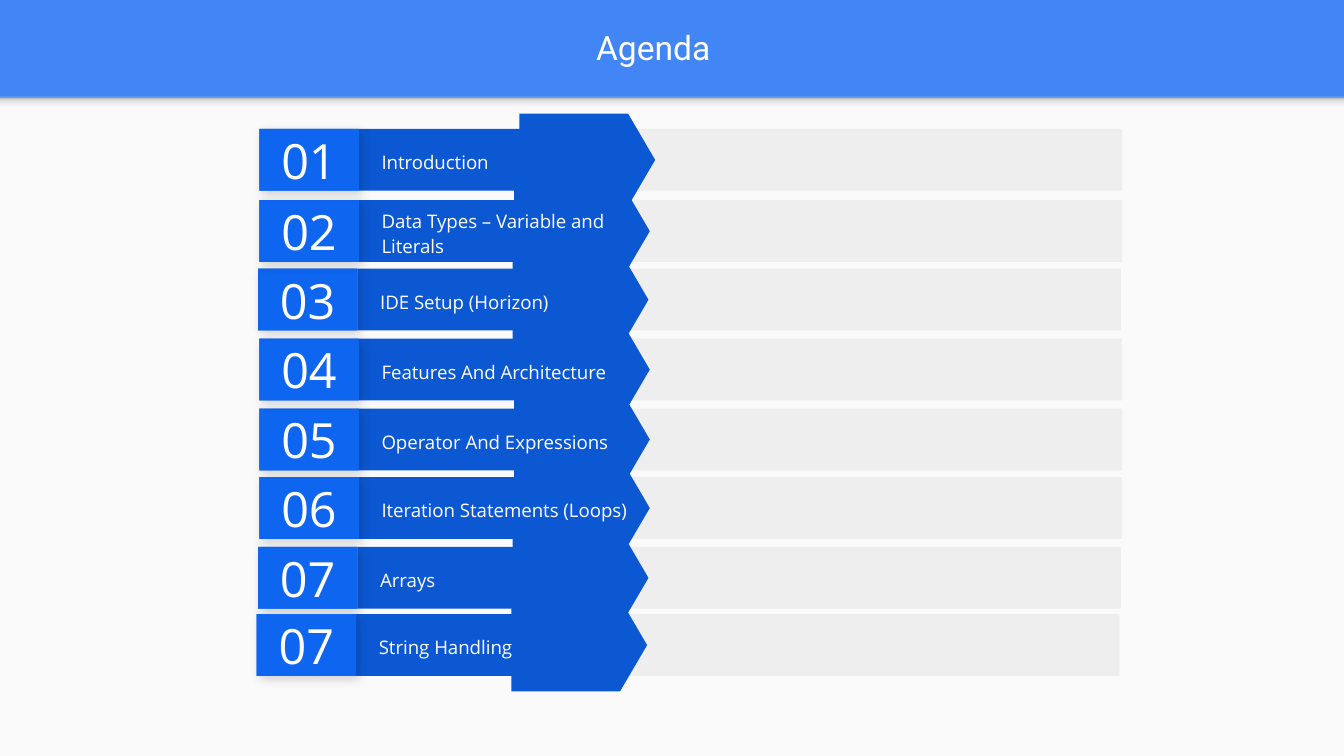
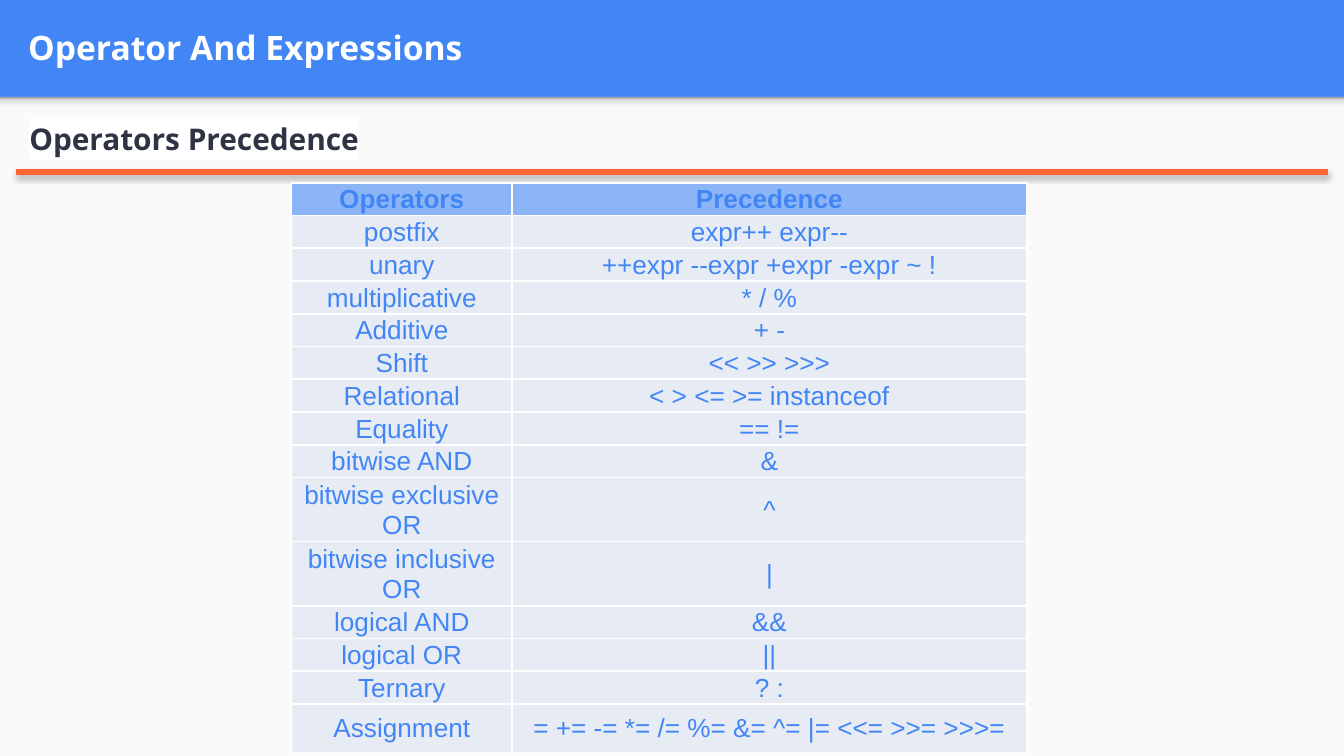
from dataclasses import dataclass

from lxml import etree
from pptx import Presentation
from pptx.dml.color import RGBColor
from pptx.enum.shapes import MSO_CONNECTOR, MSO_SHAPE
from pptx.enum.text import MSO_ANCHOR, MSO_AUTO_SIZE, PP_ALIGN
from pptx.oxml import parse_xml
from pptx.oxml.ns import nsdecls, qn
from pptx.util import Inches, Pt

RECT, ARROW = MSO_SHAPE.RECTANGLE, MSO_SHAPE.FLOWCHART_OFFPAGE_CONNECTOR
LEFT, MID = PP_ALIGN.LEFT, PP_ALIGN.CENTER
TOP, CENTER = MSO_ANCHOR.TOP, MSO_ANCHOR.MIDDLE
FIXED, GROW = MSO_AUTO_SIZE.NONE, MSO_AUTO_SIZE.SHAPE_TO_FIT_TEXT
STRAIGHT = MSO_CONNECTOR.STRAIGHT


@dataclass
class Theme:
    band: str = "4285F4"
    page: str = "FAFAFA"
    white: str = "FFFFFF"
    ink: str = "2E3444"
    rule: str = "FC6536"
    track: str = "EEEEEE"
    bar: str = "0C58D3"
    base: str = "0D5DDF"
    tile: str = "0E65F0"
    head: str = "8CB5F8"
    cell: str = "E6EBF4"
    sans: str = "Open Sans"
    title: int = 18
    sub: int = 16
    grid: int = 14
    label: int = 10
    number: int = 26


T = Theme()

# Grid: 100 columns across the slide, square cells
CELL = Inches(0.1)
WIDE, HIGH = 100, 56.25
FOOT = 7.2  # lower edge of the title band

FADE = ((0, "F9F9F9"), (36, "F9F9F9"), (80, "DEDEDE"), (100, "999999"))
SHADE = ('<a:outerShdw %s blurRad="{}" dist="{}" dir="{}" algn="bl" rotWithShape="0">'
         '<a:srgbClr val="000000"><a:alpha val="{}"/></a:srgbClr></a:outerShdw>'
         % nsdecls("a"))


def put(frame, text, size=T.label, color=T.white, font=T.sans, bold=False,
        align=LEFT, anchor=CENTER, space=None, light=None, fit=FIXED):
    """Write one formatted paragraph into a text frame."""
    frame.word_wrap = True
    frame.auto_size = fit
    frame.vertical_anchor = anchor
    frame.margin_left = frame.margin_right = CELL
    frame.margin_top = frame.margin_bottom = CELL
    para = frame.paragraphs[0]
    para.alignment = align
    if space:
        para.line_spacing = space
    run = para.add_run()
    run.text = text
    run.font.size, run.font.name, run.font.bold = Pt(size), font, bold
    run.font.color.rgb = RGBColor.from_string(color)
    if light:
        mark = etree.Element(qn("a:highlight"))
        etree.SubElement(mark, qn("a:srgbClr"), val=light)
        run.font.fill  # the highlight belongs right after the text fill
        run.font.color.rgb = RGBColor.from_string(color)
        para.runs[0].font.bold = bold
        frame.paragraphs[0].runs[0]._r.rPr.find(qn("a:solidFill")).addnext(mark)


def box(shapes, x, y, w, h, color, kind=RECT):
    """Add a flat shape, placed in grid cells."""
    shape = shapes.add_shape(kind, *(int(n * CELL) for n in (x, y, w, h)))
    shape.shadow.inherit = False
    shape.fill.solid()
    shape.fill.fore_color.rgb = RGBColor.from_string(color)
    shape.line.fill.background()
    return shape


deck = Presentation()
deck.slide_width, deck.slide_height = int(WIDE * CELL), int(HIGH * CELL)
layout = deck.slide_layouts[5]
agenda, table_page = (deck.slides.add_slide(layout) for _ in range(2))

# Shared backdrop, moved into the layout
layout.background.fill.solid()
layout.background.fill.fore_color.rgb = RGBColor.from_string(T.band)
page = box(agenda.shapes, 0, FOOT, WIDE, HIGH - FOOT, T.page)
edge = box(agenda.shapes, 0, FOOT, WIDE, 1.2, T.page)
edge.fill.gradient()
edge.fill.gradient_angle = 90
stops = edge.element.spPr.find(qn("a:gradFill")).find(qn("a:gsLst"))
for stop in list(stops):
    stops.remove(stop)
for share, color in FADE:
    stop = etree.SubElement(stops, qn("a:gs"), pos=str(share * 1000))
    etree.SubElement(stop, qn("a:srgbClr"), val=color)
for spot, part in enumerate((page, edge), 2):
    layout.shapes.element.insert(spot, part.element)

# Titles
for slide, text, look in (
        (agenda, "Agenda\t", dict(font="Roboto", align=MID)),
        (table_page, "Operator And Expressions", dict(bold=True))):
    title = slide.shapes.title
    title.left, title.top, title.width, title.height = (
        int(n * CELL) for n in (1.1, 0.2, 96.5, 6.6))
    put(title.text_frame, text, size=T.title, **look)

# Agenda rows: number, label, left, top, arrow centre from left
ROWS = [
    ("01", "Introduction", 19.3, 9.6, 24.4),
    ("02", "Data Types – Variable and Literals", 19.3, 14.9, 24),
    ("03", "IDE Setup (Horizon)", 19.2, 20, 24),
    ("04", "Features And Architecture", 19.3, 25.2, 24),
    ("05", "Operator And Expressions", 19.3, 30.4, 24),
    ("06", "Iteration Statements (Loops)", 19.3, 35.5, 24),
    ("07", "Arrays", 19.2, 40.7, 24),
    ("07", "String Handling", 19.1, 45.7, 24),
]
TALL, TILE = 4.6, 7.4
SPAN, REACH = 6.9, 10.1  # arrow size before its turn

# The upper five stack upwards, the rest downwards
for number, label, x, y, mid in ROWS[4::-1] + ROWS[5:]:
    group = agenda.shapes.add_group_shape().shapes
    box(group, x + 23, y, 41.2, TALL, T.track)
    box(group, x + TILE, y, 19.9, TALL, T.bar)
    arrow = box(group, x + mid - SPAN / 2, y + (TALL - REACH) / 2,
                SPAN, REACH, T.bar, ARROW)
    arrow.rotation = 270
    note = group.add_textbox(*(int(n * CELL) for n in (x + 8.1, y + 0.6, 20.9, 3.5)))
    put(note.text_frame, label, space=1.15)
    base = box(group, x, y, TILE, TALL, T.base)
    base.element.spPr.find(qn("a:effectLst")).append(
        parse_xml(SHADE.format(Pt(5.6), Pt(2.2), 45 * 60000, 17000)))
    tile = box(group, x, y, TILE, TALL, T.tile)
    put(tile.text_frame, number, size=T.number, align=MID)

# Heading and rule
head = table_page.shapes.add_textbox(*(int(n * CELL) for n in (1.2, 7.6, 96.5, 7.8)))
put(head.text_frame, "Operators Precedence", size=T.sub, color=T.ink, bold=True,
    anchor=TOP, space=1.15, light=T.white, fit=GROW)
rule = table_page.shapes.add_connector(
    STRAIGHT, *(int(n * CELL) for n in (1.2, 12.8, WIDE - 1.2, 12.8)))
rule.line.color.rgb = RGBColor.from_string(T.rule)
rule.line.width = Pt(3)
glow = etree.SubElement(rule.element.spPr, qn("a:effectLst"))
glow.append(parse_xml(SHADE.format(Pt(3.1), Pt(1.8), 90 * 60000, 35000)))

# Table of operators: name, signs, row height
LINE = 2.3
DATA = [
    ("Operators", "Precedence", LINE),
    ("postfix", "expr++\u00a0expr--", LINE),
    ("unary", "++expr\u00a0--expr\u00a0+expr\u00a0-expr\u00a0~ !", LINE),
    ("multiplicative", "* / %", LINE),
    ("Additive", "+ -", LINE),
    ("Shift", "<< >> >>>", LINE),
    ("Relational", "< > <= >= instanceof", LINE),
    ("Equality", "== !=", LINE),
    ("bitwise AND", "&", LINE),
    ("bitwise exclusive OR", "^", 2 * LINE),
    ("bitwise inclusive OR", "|", 2 * LINE),
    ("logical AND", "&&", LINE),
    ("logical OR", "||", LINE),
    ("Ternary", "? :", LINE),
    ("Assignment", "= += -= *= /= %= &= ^= |= <<= >>= >>>=", 3.6),
]
COLS = (16.4, 38.3)
size = (21.7, 13.6, sum(COLS), sum(row[-1] for row in DATA))
grid = table_page.shapes.add_table(
    len(DATA), len(COLS), *(int(n * CELL) for n in size)).table
grid.horz_banding = False
for col, wide in zip(grid.columns, COLS):
    col.width = int(wide * CELL)
for r, (*words, tall) in enumerate(DATA):
    grid.rows[r].height = int(tall * CELL)
    for c, word in enumerate(words):
        cell = grid.cell(r, c)
        put(cell.text_frame, word, size=T.grid, color=T.band, font="Arial",
            bold=r == 0, align=MID)
        cell.vertical_anchor = CENTER
        cell.margin_left = cell.margin_right = cell.margin_top = Inches(0.01)
        cell.margin_bottom = 0
        cell.fill.solid()
        cell.fill.fore_color.rgb = RGBColor.from_string(T.cell if r else T.head)
        for spot, side in enumerate(("lnL", "lnR", "lnT", "lnB")):
            cell._tc.tcPr.insert(spot, parse_xml(
                f'<a:{side} {nsdecls("a")} w="{Pt(1)}"><a:solidFill>'
                f'<a:srgbClr val="{T.white}"/></a:solidFill></a:{side}>'))

deck.save("out.pptx")
